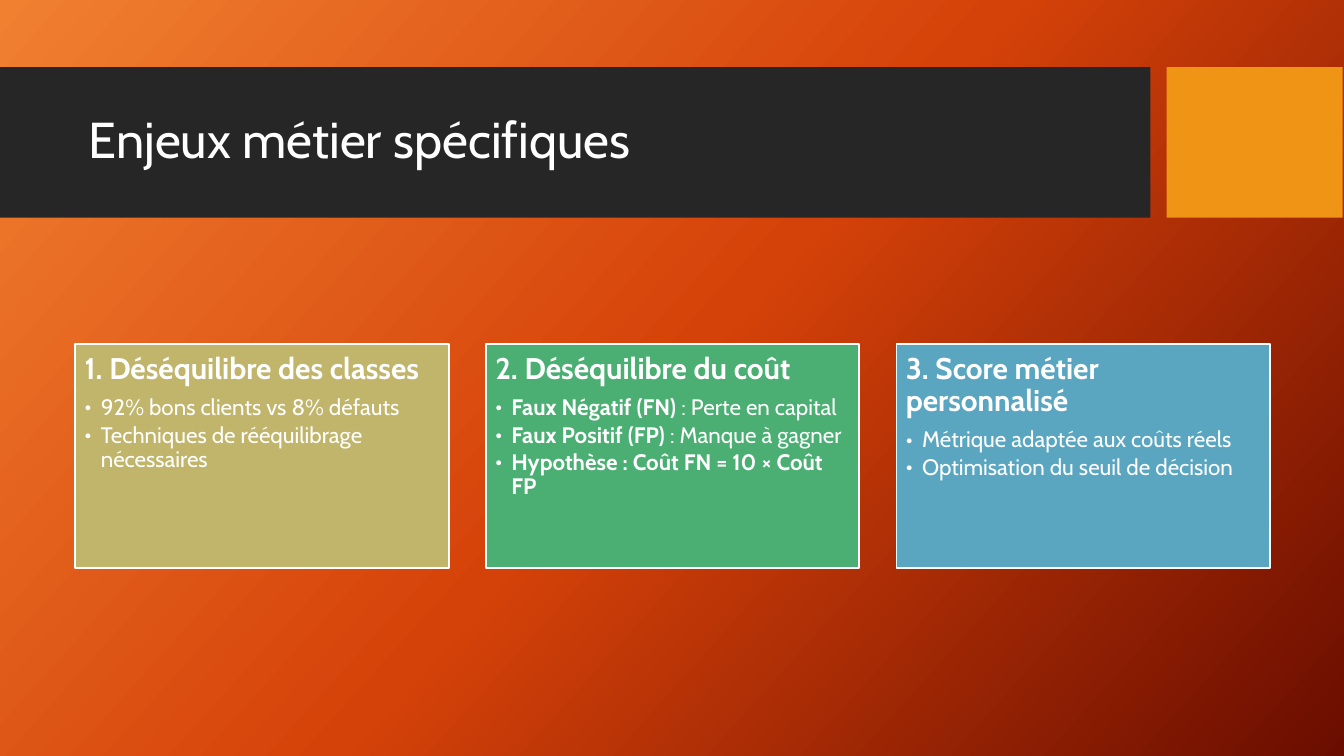
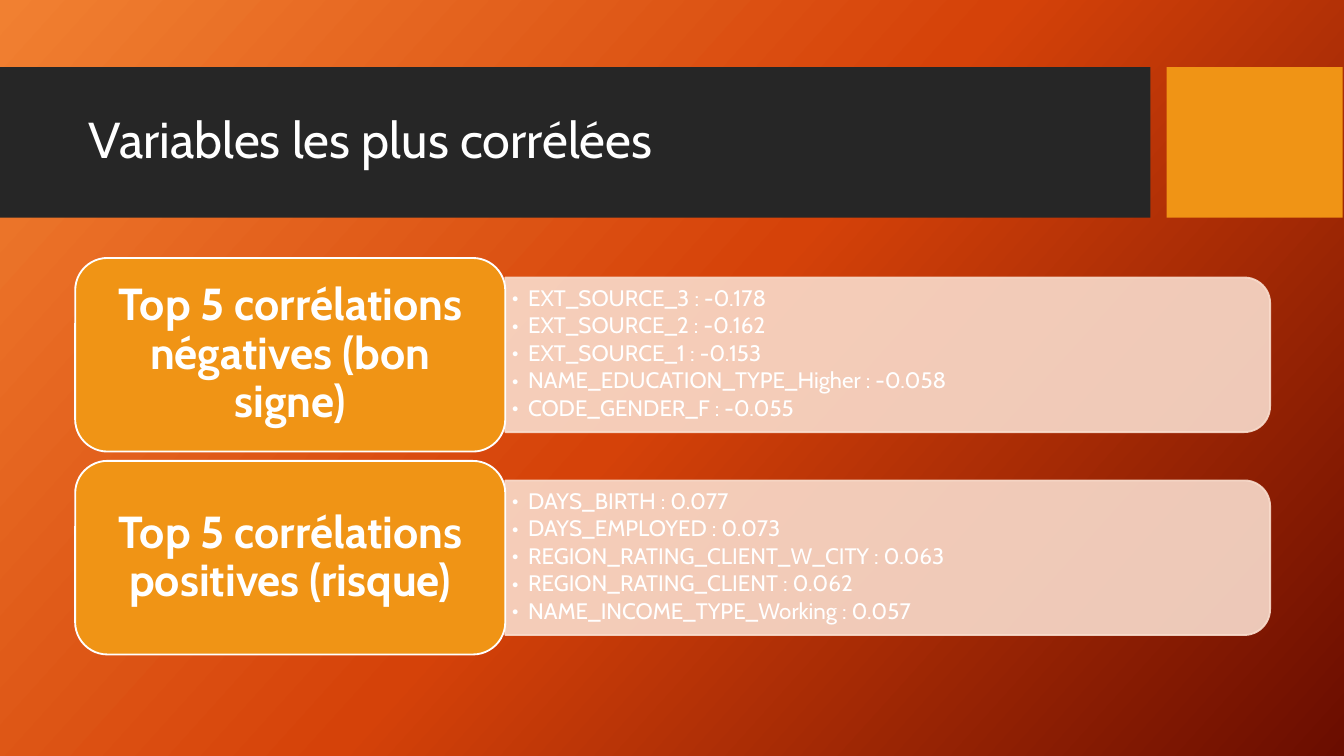
from copy import deepcopy

from lxml.etree import SubElement
from pptx import Presentation
from pptx.dml.color import RGBColor
from pptx.enum.shapes import MSO_SHAPE as Shape
from pptx.enum.text import MSO_ANCHOR as Anchor, MSO_AUTO_SIZE as AutoSize, PP_ALIGN as Align
from pptx.oxml.ns import qn
from pptx.util import Inches, Pt

FONT = "Cabin"
WHITE, DARK, ORANGE, PEACH = "FFFFFF", "262626", "F09415", "F9DCCC"
BACKDROP = [(0, "F18031"), (0.5, "D54209"), (1, "6A0D00")]
MARGIN, CONTENT_WIDTH = 0.56, 8.89
BULLET_INDENT = 0.12

CARDS = [
    ("C1B56B", "1. Déséquilibre des classes", [
        [("92% bons clients vs 8% défauts", False)],
        [("Techniques de rééquilibrage nécessaires", False)],
    ]),
    ("4BAF73", "2. Déséquilibre du coût", [
        [("Faux Négatif (FN)", True), (" : Perte en capital", False)],
        [("Faux Positif (FP)", True), (" : Manque à gagner", False)],
        [("Hypothèse : Coût FN = 10 × Coût FP", True)],
    ]),
    ("5AA6C0", "3. Score métier personnalisé", [
        [("Métrique adaptée aux coûts réels", False)],
        [("Optimisation du seuil de décision", False)],
    ]),
]

CORRELATIONS = [
    ("Top 5 corrélations négatives (bon signe)", [
        "EXT_SOURCE_3 : -0.178",
        "EXT_SOURCE_2 : -0.162",
        "EXT_SOURCE_1 : -0.153",
        "NAME_EDUCATION_TYPE_Higher : -0.058",
        "CODE_GENDER_F : -0.055",
    ]),
    ("Top 5 corrélations positives (risque)", [
        "DAYS_BIRTH : 0.077",
        "DAYS_EMPLOYED : 0.073",
        "REGION_RATING_CLIENT_W_CITY : 0.063",
        "REGION_RATING_CLIENT : 0.062",
        "NAME_INCOME_TYPE_Working : 0.057",
    ]),
]


def rgb(hex_code):
    return RGBColor.from_string(hex_code)


def add_box(slide, kind, left, top, width, height, fill, line=None):
    box = slide.shapes.add_shape(kind, *map(Inches, (left, top, width, height)))
    box.shadow.inherit = False
    box.fill.solid()
    box.fill.fore_color.rgb = rgb(fill)
    if line:
        box.line.color.rgb = rgb(line)
        box.line.width = Pt(1)
    else:
        box.line.fill.background()
    return box


def set_opacity(shape, percent):
    """Apply the same opacity to the fill and the outline."""
    for color in shape.element.spPr.iter(qn("a:srgbClr")):
        SubElement(color, qn("a:alpha"), val=str(percent * 1000))


def set_frame(shape, anchor, inset_x, inset_y):
    frame = shape.text_frame
    frame.word_wrap = True
    frame.auto_size = AutoSize.NONE
    frame.vertical_anchor = anchor
    frame.margin_left = frame.margin_right = Inches(inset_x)
    frame.margin_top = frame.margin_bottom = Inches(inset_y)
    return frame


def write(frame, text, size, bold=False, align=Align.LEFT, after=0, bullet=False):
    """Write one paragraph; text is a string or a list of (text, bold) runs."""
    first = frame.paragraphs[0]
    paragraph = frame.add_paragraph() if first.runs else first
    if bullet:
        properties = paragraph._p.get_or_add_pPr()
        properties.set("marL", str(Inches(BULLET_INDENT)))
        properties.set("indent", str(-Inches(BULLET_INDENT)))
        SubElement(properties, qn("a:buFont"), typeface=FONT)
        SubElement(properties, qn("a:buChar"), char="•")
        paragraph.level = 1
    paragraph.alignment = align
    paragraph.line_spacing = 0.9
    paragraph.space_before = Pt(0)
    paragraph.space_after = Pt(after)
    for words, is_bold in [(text, bold)] if isinstance(text, str) else text:
        run = paragraph.add_run()
        run.text = words
        run.font.name = FONT
        run.font.size = Pt(size)
        run.font.bold = is_bold
        run.font.color.rgb = rgb(WHITE)


def write_bullets(frame, items):
    for item in items:
        write(frame, item, size=12, after=1.8, bullet=True)


def paint_backdrop(master):
    fill = master.background.fill
    fill.gradient()
    fill.gradient_angle = 360 - 42
    stop_list = master.element.find(".//" + qn("a:gsLst"))
    stop_list.append(deepcopy(stop_list[-1]))
    for stop, (position, color) in zip(fill.gradient_stops, BACKDROP):
        stop.position = position
        stop.color.rgb = rgb(color)


def add_titled_slide(prs, heading):
    slide = prs.slides.add_slide(prs.slide_layouts[5])
    add_box(slide, Shape.RECTANGLE, 0, 0.5, 8.56, 1.12, DARK)
    add_box(slide, Shape.RECTANGLE, 8.68, 0.5, 1.31, 1.12, ORANGE)
    title = slide.shapes.title
    title.element.getparent().append(title.element)  # in front of the bands
    title.left, title.top, title.width, title.height = map(Inches, (MARGIN, 0.62, 7.89, 0.88))
    write(set_frame(title, Anchor.MIDDLE, 0.1, 0.05), heading, size=27)
    return slide


def add_card(slide, left, top, width, height, color, heading, bullets):
    card = add_box(slide, Shape.RECTANGLE, left, top, width, height, color, WHITE)
    frame = set_frame(card, Anchor.TOP, 0.07, 0.07)
    write(frame, heading, size=16, bold=True, after=5.6)
    write_bullets(frame, bullets)


def add_correlation_row(slide, left, top, width, height, heading, variables):
    label_width = 3.2
    panel_left, panel_width, panel_height = left + label_width, width - label_width, 1.15
    panel_top = top + (height - panel_height) / 2
    # The panel is a shape with two rounded top corners, turned to face right.
    shift = (panel_width - panel_height) / 2
    panel = add_box(slide, Shape.ROUND_2_SAME_RECTANGLE, panel_left + shift, panel_top - shift,
                    panel_height, panel_width, PEACH, PEACH)
    panel.rotation = 90
    set_opacity(panel, 90)

    values = slide.shapes.add_textbox(*map(Inches, (
        panel_left, panel_top + 0.05, panel_width - 0.06, panel_height - 0.11)))
    write_bullets(set_frame(values, Anchor.MIDDLE, 0.05, 0.03), variables)

    label = add_box(slide, Shape.ROUNDED_RECTANGLE, left, top, label_width, height, ORANGE, WHITE)
    write(set_frame(label, Anchor.MIDDLE, 0.17, 0.12), heading,
          size=24, bold=True, align=Align.CENTER)


def build_stakes_slide(prs):
    slide = add_titled_slide(prs, "Enjeux métier spécifiques")
    card_width = 2.78
    step = (CONTENT_WIDTH - card_width) / (len(CARDS) - 1)
    for index, card in enumerate(CARDS):
        add_card(slide, MARGIN + index * step, 2.56, card_width, 1.67, *card)


def build_correlations_slide(prs):
    slide = add_titled_slide(prs, "Variables les plus corrélées")
    row_height, gap = 1.44, 0.07
    for index, row in enumerate(CORRELATIONS):
        top = 1.92 + index * (row_height + gap)
        add_correlation_row(slide, MARGIN, top, CONTENT_WIDTH, row_height, *row)


def main():
    prs = Presentation()
    prs.slide_width = Inches(10)
    prs.slide_height = prs.slide_width * 9 // 16
    paint_backdrop(prs.slide_master)
    build_stakes_slide(prs)
    build_correlations_slide(prs)
    prs.save("out.pptx")


if __name__ == "__main__":
    main()
